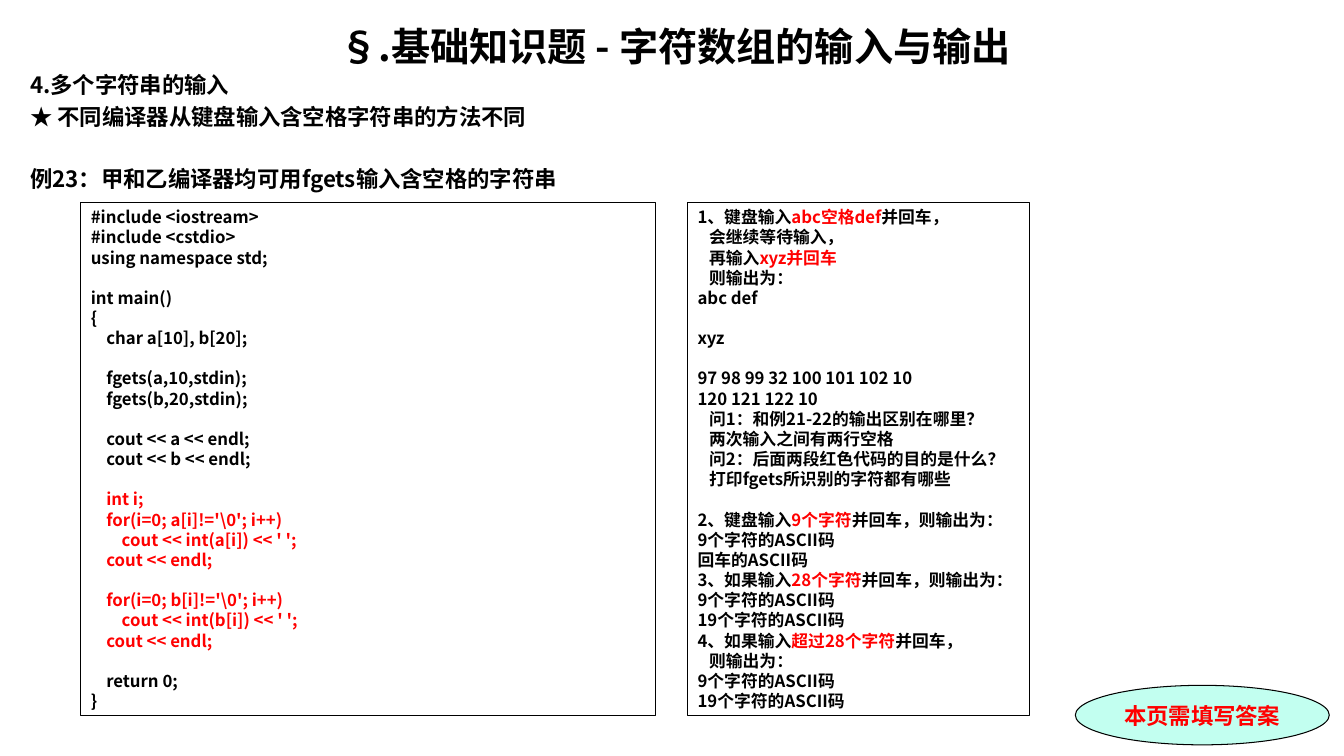
from dataclasses import dataclass

from lxml.etree import SubElement
from pptx import Presentation
from pptx.dml.color import RGBColor as RGB
from pptx.enum.shapes import MSO_SHAPE as Shape
from pptx.enum.text import MSO_ANCHOR as Anchor, PP_ALIGN as Align
from pptx.oxml.ns import qn
from pptx.util import Cm, Pt

# Content: text between bars is red, an empty line is a gap,
# leading spaces give the indent
TITLE = "§.基础知识题 - 字符数组的输入与输出"
HEADINGS = """4.多个字符串的输入
★ 不同编译器从键盘输入含空格字符串的方法不同

例23：甲和乙编译器均可用fgets输入含空格的字符串"""
CODE = r"""#include <iostream>
#include <cstdio>
using namespace std;

int main()
{
    char a[10], b[20];

    fgets(a,10,stdin);
    fgets(b,20,stdin);

    cout << a << endl;
    cout << b << endl;

    |int i;|
    |for(i=0; a[i]!='\0'; i++)|
        |cout << int(a[i]) << ' ';|
    |cout << endl;|

    |for(i=0; b[i]!='\0'; i++)|
        |cout << int(b[i]) << ' ';|
    |cout << endl;|

    return 0;
}"""
ANSWERS = """1、键盘输入|abc空格def|并回车，
   会继续等待输入，
   再输入|xyz并回车|
   则输出为：
abc def

xyz

97 98 99 32 100 101 102 10
120 121 122 10
   问1：和例21-22的输出区别在哪里？
   两次输入之间有两行空格
   问2：后面两段红色代码的目的是什么？
   打印fgets所识别的字符都有哪些

2、键盘输入|9个字符|并回车，则输出为：
9个字符的ASCII码
回车的ASCII码
3、如果输入|28个字符|并回车，则输出为：
9个字符的ASCII码
19个字符的ASCII码
4、如果输入|超过28个字符|并回车，
   则输出为：
9个字符的ASCII码
19个字符的ASCII码"""
REMINDER = "本页需填写答案"


@dataclass(frozen=True)
class Theme:
    font: str = "Noto Sans CJK SC"
    reminder_font: str = "Times New Roman"
    black: RGB = RGB(0, 0, 0)
    red: RGB = RGB(0xFF, 0, 0)
    mint: RGB = RGB(0xC2, 0xFF, 0xF0)
    title_size: int = 28
    heading_size: int = 16
    body_size: int = 12
    line_height: float = 1.2
    space_width: float = 0.23  # of the type size
    outline: float = 0.75


THEME = Theme()


def style(paragraph, size, color=THEME.black, latin=THEME.font):
    font = paragraph.font
    font.name, font.size, font.bold = latin, Pt(size), True
    font.color.rgb = color
    # East Asian typeface
    props = paragraph._p.find(qn("a:pPr")).find(qn("a:defRPr"))
    SubElement(props, qn("a:ea")).set("typeface", THEME.font)


def write_lines(frame, text, size, before=0):
    """Write one paragraph per line, turning empty lines into spacing."""
    pitch = size * THEME.line_height
    gap, paragraph = 0, None
    for line in text.splitlines():
        if not line:
            gap += pitch + before
            continue
        paragraph = frame.add_paragraph() if paragraph else frame.paragraphs[0]
        words = line.lstrip()
        for index, part in enumerate(words.split("|")):
            if part:
                run = paragraph.add_run()
                run.text = part
                if index % 2:
                    run.font.color.rgb = THEME.red
        style(paragraph, size)
        paragraph.alignment = Align.LEFT
        paragraph.line_spacing = Pt(pitch)
        paragraph.space_before = Pt(before + gap)
        indent = (len(line) - len(words)) * size * THEME.space_width
        props = paragraph._p.get_or_add_pPr()
        props.set("marL", str(Pt(indent)))
        props.set("indent", "0")
        gap = 0


def add_outlined(slide, kind, box, fill=None):
    shape = slide.shapes.add_shape(kind, *map(Cm, box))
    shape.shadow.inherit = False
    if fill is None:
        shape.fill.background()
    else:
        shape.fill.solid()
        shape.fill.fore_color.rgb = fill
    shape.line.color.rgb = THEME.black
    shape.line.width = Pt(THEME.outline)
    shape.text_frame.vertical_anchor = Anchor.MIDDLE
    return shape


def main():
    deck = Presentation()
    deck.slide_width, deck.slide_height = Cm(33.87), Cm(19.05)
    slide = deck.slides.add_slide(deck.slide_layouts[5])

    # Title
    title = slide.shapes.title
    title.left, title.top, title.width, title.height = map(Cm, (0.51, 0.46, 33, 1.4))
    title.text_frame.text = TITLE
    title.text_frame.vertical_anchor = Anchor.MIDDLE
    title.text_frame.paragraphs[0].alignment = Align.CENTER
    style(title.text_frame.paragraphs[0], THEME.title_size)

    # Headings
    headings = slide.shapes.add_textbox(*map(Cm, (0.51, 1.8, 33, 3.2))).text_frame
    headings.word_wrap = True
    headings.margin_top = 0
    write_lines(headings, HEADINGS, THEME.heading_size, before=3.2)

    # Code and answers
    for left, width, text in ((2.04, 14.48, CODE), (17.33, 8.61, ANSWERS)):
        panel = add_outlined(slide, Shape.RECTANGLE, (left, 5.1, width, 12.93)).text_frame
        panel.word_wrap = True
        panel.margin_right = 0
        write_lines(panel, text, THEME.body_size)

    # Reminder
    box = (27.1, 17.27, 6.4, 1.5)
    reminder = add_outlined(slide, Shape.OVAL, box, THEME.mint).text_frame
    reminder.word_wrap = False
    reminder.text = REMINDER
    reminder.paragraphs[0].alignment = Align.CENTER
    style(reminder.paragraphs[0], THEME.heading_size, THEME.red, THEME.reminder_font)

    deck.save("out.pptx")


if __name__ == "__main__":
    main()
